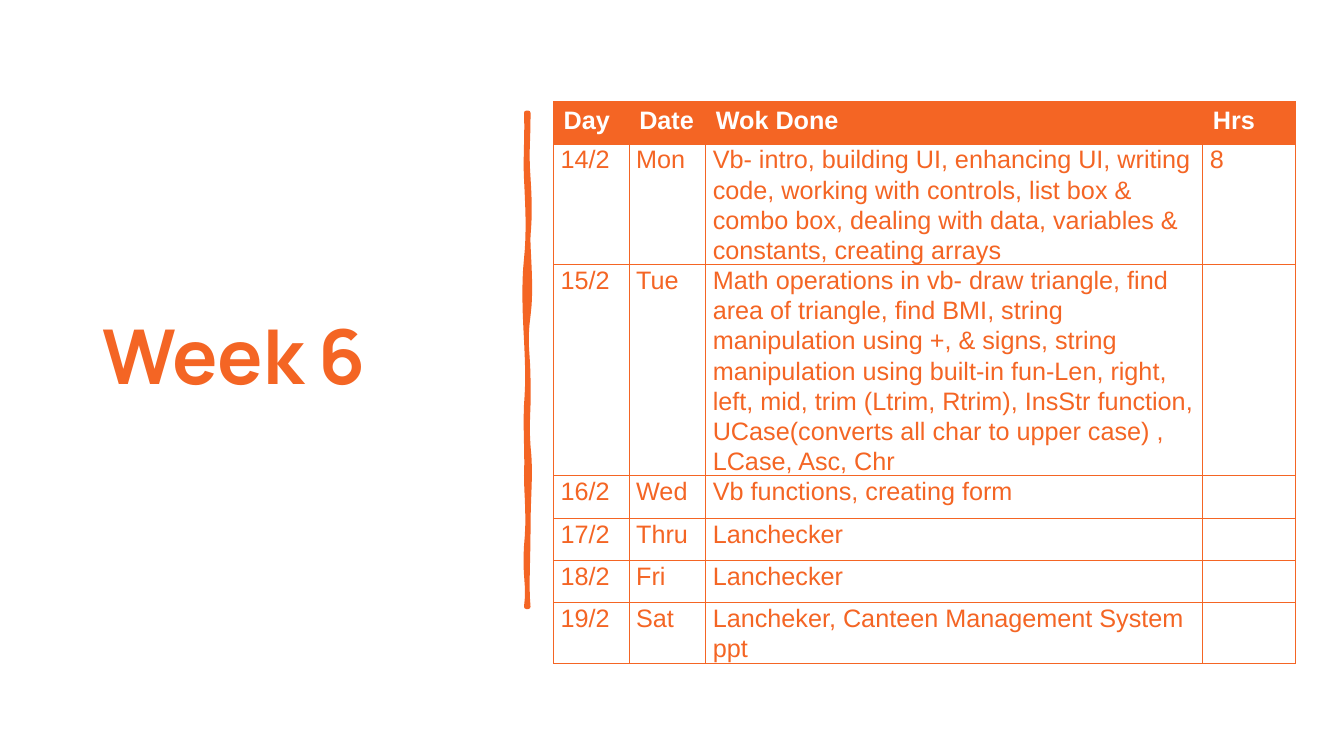
from lxml.etree import SubElement
from pptx import Presentation
from pptx.dml.color import RGBColor
from pptx.enum.text import MSO_ANCHOR
from pptx.oxml.ns import qn
from pptx.util import Inches, Pt

COLORS = {"orange": "F46524", "white": "FFFFFF"}
TITLE = "Week 6"
HEADER = ("Day", "Date", "Wok Done", "Hrs")
DAYS = [
    ("14/2", "Mon", "Vb- intro, building UI, enhancing UI, writing code, working with "
     "controls, list box & combo box, dealing with data, variables & constants, "
     "creating arrays", "8"),
    ("15/2", "Tue", "Math operations in vb- draw triangle, find area of triangle, find BMI, "
     "string manipulation using +, & signs, string manipulation using built-in fun-Len, "
     "right, left, mid, trim (Ltrim, Rtrim), InsStr function, UCase(converts all char to "
     "upper case) , LCase, Asc, Chr", ""),
    ("16/2", "Wed", "Vb functions, creating form", ""),
    ("17/2", "Thru", "Lanchecker", ""),
    ("18/2", "Fri", "Lanchecker", ""),
    ("19/2", "Sat", "Lancheker, Canteen Management System ppt", ""),
]
COLUMN_WIDTHS = (0.75, 0.76, 4.93, 0.92)
ROW_HEIGHT = 0.42
BRUSH_START = (5.24, 1.12)
BRUSH_CURVES = [
    ((5.24, 1.44), (5.22, 1.48), (5.24, 1.77)),
    ((5.26, 2.07), (5.25, 2.21), (5.24, 2.33)),
    ((5.23, 2.45), (5.28, 2.85), (5.24, 3.13)),
    ((5.20, 3.41), (5.24, 3.51), (5.24, 3.78)),
    ((5.25, 4.04), (5.22, 4.17), (5.24, 4.43)),
    ((5.27, 4.69), (5.24, 4.90), (5.24, 5.23)),
    ((5.24, 5.55), (5.22, 5.83), (5.24, 6.02)),
    ((5.24, 6.02), (5.23, 6.02), (5.22, 6.02)),
    ((5.25, 5.80), (5.20, 5.72), (5.22, 5.42)),
    ((5.25, 5.13), (5.22, 4.90), (5.22, 4.72)),
    ((5.23, 4.54), (5.21, 4.28), (5.22, 4.02)),
    ((5.24, 3.77), (5.23, 3.57), (5.22, 3.37)),
    ((5.21, 3.17), (5.19, 2.84), (5.22, 2.57)),
    ((5.25, 2.31), (5.23, 1.98), (5.22, 1.77)),
    ((5.21, 1.56), (5.23, 1.31), (5.22, 1.12)),
]
CURVE_STEPS = 8


def color(name):
    return RGBColor.from_string(COLORS[name])


def style_run(run, font_name, size, color_name, bold):
    run.font.name = font_name
    run.font.size = Pt(size)
    run.font.bold = bold
    run.font.color.rgb = color(color_name)


def add_title(slide):
    title = slide.shapes.title
    title.left, title.top = Inches(0.92), Inches(0.6)
    title.width, title.height = Inches(3.94), Inches(5.94)
    frame = title.text_frame
    frame.text = TITLE
    frame.word_wrap = True
    frame.vertical_anchor = MSO_ANCHOR.MIDDLE
    paragraph = frame.paragraphs[0]
    paragraph.alignment = 1
    paragraph.line_spacing = 0.9
    style_run(paragraph.runs[0], "Manrope", 54, "orange", True)


def curve_points(start, curves):
    for first, second, end in curves:
        for step in range(1, CURVE_STEPS + 1):
            t = step / CURVE_STEPS
            weights = ((1 - t) ** 3, 3 * t * (1 - t) ** 2, 3 * t * t * (1 - t), t ** 3)
            corners = (start, first, second, end)
            yield tuple(Inches(sum(w * corner[axis] for w, corner in zip(weights, corners)))
                        for axis in (0, 1))
        start = end


def add_brush_line(slide):
    x, y = BRUSH_START
    builder = slide.shapes.build_freeform(Inches(x), Inches(y))
    builder.add_line_segments(list(curve_points(BRUSH_START, BRUSH_CURVES)), close=True)
    brush = builder.convert_to_shape()
    brush.shadow.inherit = False
    brush.fill.solid()
    brush.fill.fore_color.rgb = color("orange")
    brush.line.color.rgb = color("orange")
    brush.line.width = Pt(3.25)


def add_borders(cell):
    properties = cell._tc.get_or_add_tcPr()
    for position, side in enumerate(("a:lnL", "a:lnR", "a:lnT", "a:lnB")):
        line = SubElement(properties, qn(side), w=str(Pt(0.75)))
        fill = SubElement(line, qn("a:solidFill"))
        SubElement(fill, qn("a:srgbClr"), val=COLORS["orange"])
        properties.insert(position, line)


def fill_cell(cell, text, is_header):
    side, edge = (0.1, 0.05) if is_header else (0.07, 0)
    cell.margin_left = cell.margin_right = Inches(side)
    cell.margin_top = cell.margin_bottom = Inches(edge)
    if is_header:
        cell.fill.solid()
        cell.fill.fore_color.rgb = color("orange")
    else:
        cell.fill.background()
    add_borders(cell)
    if text:
        cell.text_frame.text = text
        paragraph = cell.text_frame.paragraphs[0]
        if not is_header:
            paragraph.line_spacing = 1.07
        style_run(paragraph.runs[0], "Arial", 18, "white" if is_header else "orange", is_header)


def add_work_table(slide):
    rows = [HEADER] + DAYS
    table = slide.shapes.add_table(
        len(rows), len(HEADER), Inches(5.49), Inches(1.01),
        Inches(sum(COLUMN_WIDTHS)), Inches(ROW_HEIGHT * len(rows))).table
    for column, width in zip(table.columns, COLUMN_WIDTHS):
        column.width = Inches(width)
    for row_index, row in enumerate(rows):
        table.rows[row_index].height = Inches(ROW_HEIGHT)
        for column_index, text in enumerate(row):
            fill_cell(table.cell(row_index, column_index), text, row_index == 0)


def main():
    presentation = Presentation()
    presentation.slide_width, presentation.slide_height = Inches(13.33), Inches(7.5)
    slide = presentation.slides.add_slide(presentation.slide_layouts[5])
    add_title(slide)
    add_brush_line(slide)
    add_work_table(slide)
    presentation.save("out.pptx")


if __name__ == "__main__":
    main()
